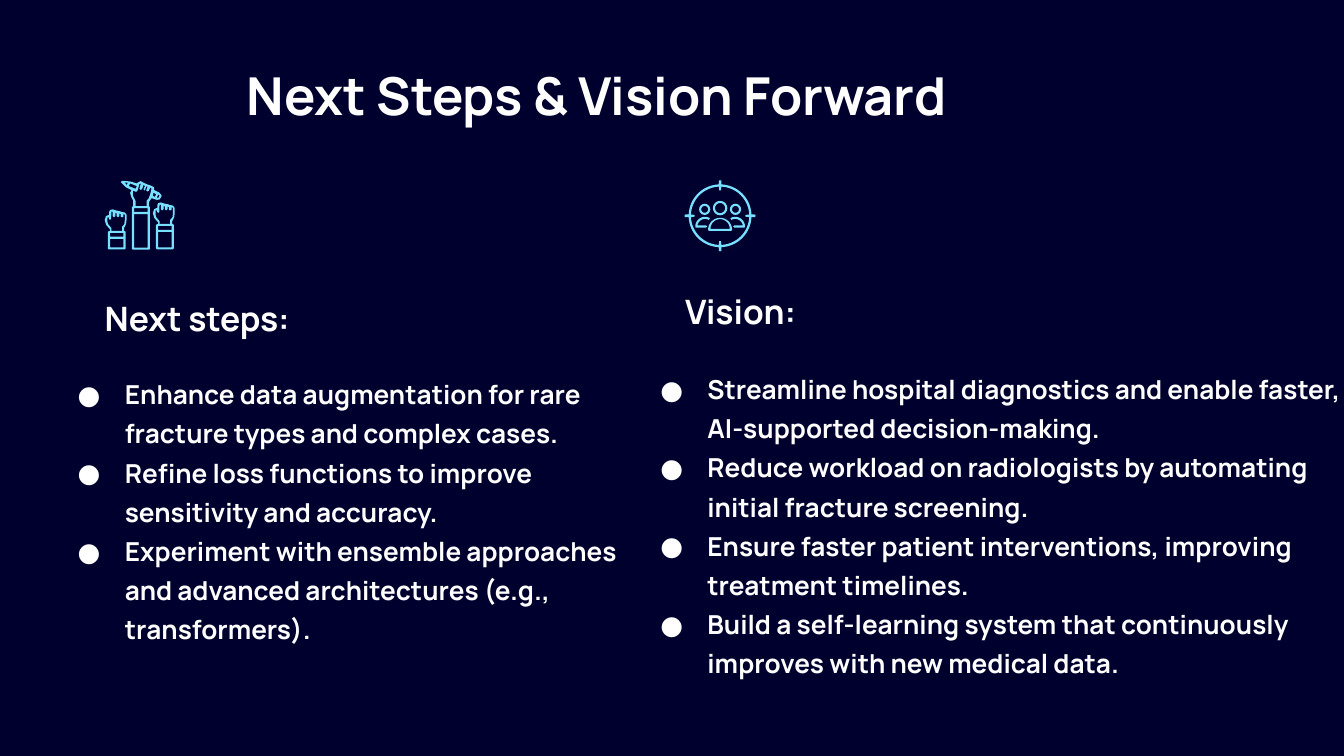
from math import cos, radians, sin

from lxml.etree import SubElement
from pptx import Presentation
from pptx.dml.color import RGBColor
from pptx.enum.text import MSO_ANCHOR, MSO_AUTO_SIZE, PP_ALIGN
from pptx.oxml.ns import qn
from pptx.util import Cm, Pt

COLORS = {"background": "00002E", "text": "FFFFFF", "icon": "77E0FF"}
FONT = "Manrope"
ICON_SIZE = Cm(1.34)
ICON_GRID = 53  # icon drawings use a grid of 53 by 53 units

NEXT_STEPS = [
    "Enhance data augmentation for rare fracture types and complex cases.",
    "Refine loss functions to improve sensitivity and accuracy.",
    "Experiment with ensemble approaches and advanced architectures (e.g., transformers).",
]
VISION = [
    "Streamline hospital diagnostics and enable faster, AI-supported decision-making.",
    "Reduce workload on radiologists by automating initial fracture screening.",
    "Ensure faster patient interventions, improving treatment timelines.",
    "Build a self-learning system that continuously improves with new medical data.",
]

FIST = [(5.5, 1.5), (6, 2), (6, 5), (7, 6), (8, 5), (8, 2.5), (9, 3), (9, 5), (10, 6),
        (11, 5), (11, 3), (12, 3.5), (12, 5.5), (13, 6), (14, 5.5), (14, 3.5), (15, 4),
        (15, 8), (14.7, 11), (13, 13), (13, 16), (5, 16), (5, 14), (2.5, 11), (2, 9),
        (2, 6), (3, 6), (3.3, 7.3), (4, 7.8), (4.8, 7), (5, 1.8)]
PENCIL_HAND = [
    [(1, 0), (0, 1), (4, 5), (8, 7), (7, 9), (7.8, 12), (9.3, 15), (9.3, 19), (8.3, 19.5),
     (8.3, 51), (9, 51.5), (21, 51.5), (21.8, 51), (21.8, 19.5), (21, 19), (21, 16),
     (23, 13), (27, 14.3), (29, 14), (30.3, 12), (30.5, 11), (29, 9), (25, 7), (25, 5),
     (23, 3.8), (20, 2.8), (17, 1.5), (15, 0.3), (13.5, 0.8), (12, 2), (7, 0.5)],
    [(3, 1.3), (5.3, 1.5), (4.3, 3.3)],
    [(7, 2), (12, 4), (11, 6), (6, 4)],
    [(24.3, 9), (26.5, 10), (25.5, 12), (24, 11.3)],
    [(28, 10.3), (29, 11), (28, 13), (27, 12.5)],
    [(15, 2), (14, 6), (15, 7), (16, 6), (17, 3), (18, 4), (17, 6.5), (18, 7.3), (19, 4.3),
     (20, 4.5), (19, 7.3), (20, 8), (21, 7.5), (22, 5), (23, 6), (22, 10), (21, 13),
     (19.3, 15), (19.3, 19), (11, 19), (11, 15), (9, 11), (9, 7.5), (11.5, 8.3),
     (12.5, 7.5), (14, 2.3)],
    [(10, 20.5), (20, 20.5), (20, 23.3), (10, 23.3)],
    [(10, 25), (20, 25), (20, 50), (10, 50)],
]


def box(left, top, right, bottom):
    return [(left, top), (right, top), (right, bottom), (left, bottom)]


def arc(x, y, radius, start, end):
    angles = [radians(start + (end - start) * step / 16) for step in range(17)]
    return [(x + radius * cos(angle), y - radius * sin(angle)) for angle in angles]


def raised_hand(height):
    sleeve = [(4, 16), (2.3, 16.7), (2.3, height - 0.7), (3, height), (15, height),
              (15.7, height - 0.7), (15.7, 16.7), (14.5, 16), (14.5, 14)]
    fingers = [(16, 11), (16.3, 8), (16.3, 4), (15, 2.3), (13, 2), (11, 1.3), (8.5, 0.8),
               (6, 0), (4, 0.5), (3.3, 2), (3.3, 4), (1, 5), (0, 8), (1, 11.5), (4, 15)]
    return [sleeve + fingers, FIST, box(4, 17.5, 14, 20.5), box(4, 22, 14, height - 1.5)]


def ring(x, y, radius):
    return [arc(x, y, r, 0, 360) for r in (radius, radius - 1.6)]


def crosshair_edge(center, radius, tick_radius):
    """Circle whose outline steps to tick_radius at each quarter turn."""
    points = []
    for quarter in (0, 90, 180, 270):
        for start, end, r in ((-2, 2, tick_radius), (2.5, 87.5, radius)):
            points += arc(center, center, r, quarter + start, quarter + end)
    return points


def add_outline(shapes, left, top, contours, dx=0, dy=0):
    """Draw the contours as one filled shape; inner contours are holes."""
    unit = ICON_SIZE / ICON_GRID
    scaled = [[(round(left + (x + dx) * unit), round(top + (y + dy) * unit))
               for x, y in contour] for contour in contours]
    builder = shapes.build_freeform(*scaled[0][0])
    for index, contour in enumerate(scaled):
        if index:
            builder.move_to(*contour[0])
        builder.add_line_segments(contour[1:], close=True)
    shape = builder.convert_to_shape()
    shape.fill.solid()
    shape.fill.fore_color.rgb = RGBColor.from_string(COLORS["icon"])
    shape.line.fill.background()
    shape.shadow.inherit = False


def draw_raised_hands(slide, left, top):
    shapes = slide.shapes.add_group_shape().shapes
    add_outline(shapes, left, top, raised_hand(35), 36, 16.5)
    add_outline(shapes, left, top, PENCIL_HAND, 12, 0.3)
    add_outline(shapes, left, top, raised_hand(30), 0, 21.7)


def draw_people_target(slide, left, top):
    shapes = slide.shapes.add_group_shape().shapes
    center = ICON_GRID / 2
    shoulder = (arc(37.8, 34.5, 7.3, 120, 0) + [(44.8, 35.3), (37, 35.3), (36.3, 34.5),
                (37, 33.7), (43.2, 33.7)] + arc(37.8, 34.5, 5.7, 10, 120))
    mirrored_shoulder = [(ICON_GRID - x, y) for x, y in shoulder]
    body = [arc(center, 37, 9, 0, 180) + [(18.2, 37.8), (34.8, 37.8)],
            arc(center, 36.2, 7.2, 0, 180)]
    crosshair = [crosshair_edge(center, 23.5, 26.5), crosshair_edge(center, 21.8, 19)]
    for contours in (ring(38, 21.7, 4.2), [shoulder], [mirrored_shoulder],
                     ring(15, 21.7, 4.2), ring(center, 20.7, 5.4), body, crosshair):
        add_outline(shapes, left, top, contours)


def format_paragraph(paragraph, size, spacing=None):
    if spacing:
        paragraph.line_spacing = spacing
    font = paragraph.font
    font.name, font.size, font.bold = FONT, Pt(size), True
    font.color.rgb = RGBColor.from_string(COLORS["text"])


def prepare_frame(shape, anchor=MSO_ANCHOR.TOP):
    """Give a text frame equal margins, wrapping and a fixed size."""
    frame = shape.text_frame
    frame.word_wrap = True
    frame.auto_size = MSO_AUTO_SIZE.NONE
    frame.vertical_anchor = anchor
    frame.margin_left = frame.margin_right = Cm(0.25)
    frame.margin_top = frame.margin_bottom = Cm(0.25)
    return frame


def add_bullet(paragraph):
    properties = paragraph._p.get_or_add_pPr()
    properties.set("marL", str(Cm(1.27)))
    properties.set("indent", str(-Cm(0.89)))
    color = SubElement(properties, qn("a:buClr"))
    SubElement(color, qn("a:srgbClr"), val=COLORS["text"])
    SubElement(properties, qn("a:buFont"), typeface=FONT)
    SubElement(properties, qn("a:buChar"), char="●")


def place_title(slide, text, left, top, width, height):
    title = slide.shapes.title
    title.left, title.top, title.width, title.height = left, top, width, height
    frame = prepare_frame(title)
    frame.text = text
    frame.paragraphs[0].alignment = PP_ALIGN.CENTER
    format_paragraph(frame.paragraphs[0], 28)


def add_heading(slide, text, left, top):
    heading = slide.shapes.add_textbox(left, top, Cm(7.7), Cm(1.32))
    frame = prepare_frame(heading, MSO_ANCHOR.BOTTOM)
    frame.text = text
    format_paragraph(frame.paragraphs[0], 18, 1.25)


def add_bullet_list(slide, items, left, top, width):
    bullet_list = slide.shapes.add_textbox(left, top, width, Cm(4.88))
    frame = prepare_frame(bullet_list)
    frame.text = "\n".join(items)
    for paragraph in frame.paragraphs:
        add_bullet(paragraph)
        format_paragraph(paragraph, 14, 1.25)


def main():
    presentation = Presentation()
    presentation.slide_width, presentation.slide_height = Cm(25.4), Cm(14.29)
    slide = presentation.slides.add_slide(presentation.slide_layouts[5])
    background = slide.background.fill
    background.solid()
    background.fore_color.rgb = RGBColor.from_string(COLORS["background"])

    place_title(slide, "Next Steps & Vision Forward",
                Cm(0.57), Cm(0.94), Cm(21.41), Cm(1.6))
    add_heading(slide, "Next steps:", Cm(1.73), Cm(5.33))
    add_bullet_list(slide, NEXT_STEPS, Cm(0.84), Cm(6.76), Cm(11.73))
    draw_raised_hands(slide, Cm(1.98), Cm(3.41))
    add_heading(slide, "Vision:", Cm(12.7), Cm(5.19))
    add_bullet_list(slide, VISION, Cm(11.85), Cm(6.66), Cm(13.82))
    draw_people_target(slide, Cm(12.94), Cm(3.41))
    presentation.save("out.pptx")


if __name__ == "__main__":
    main()
